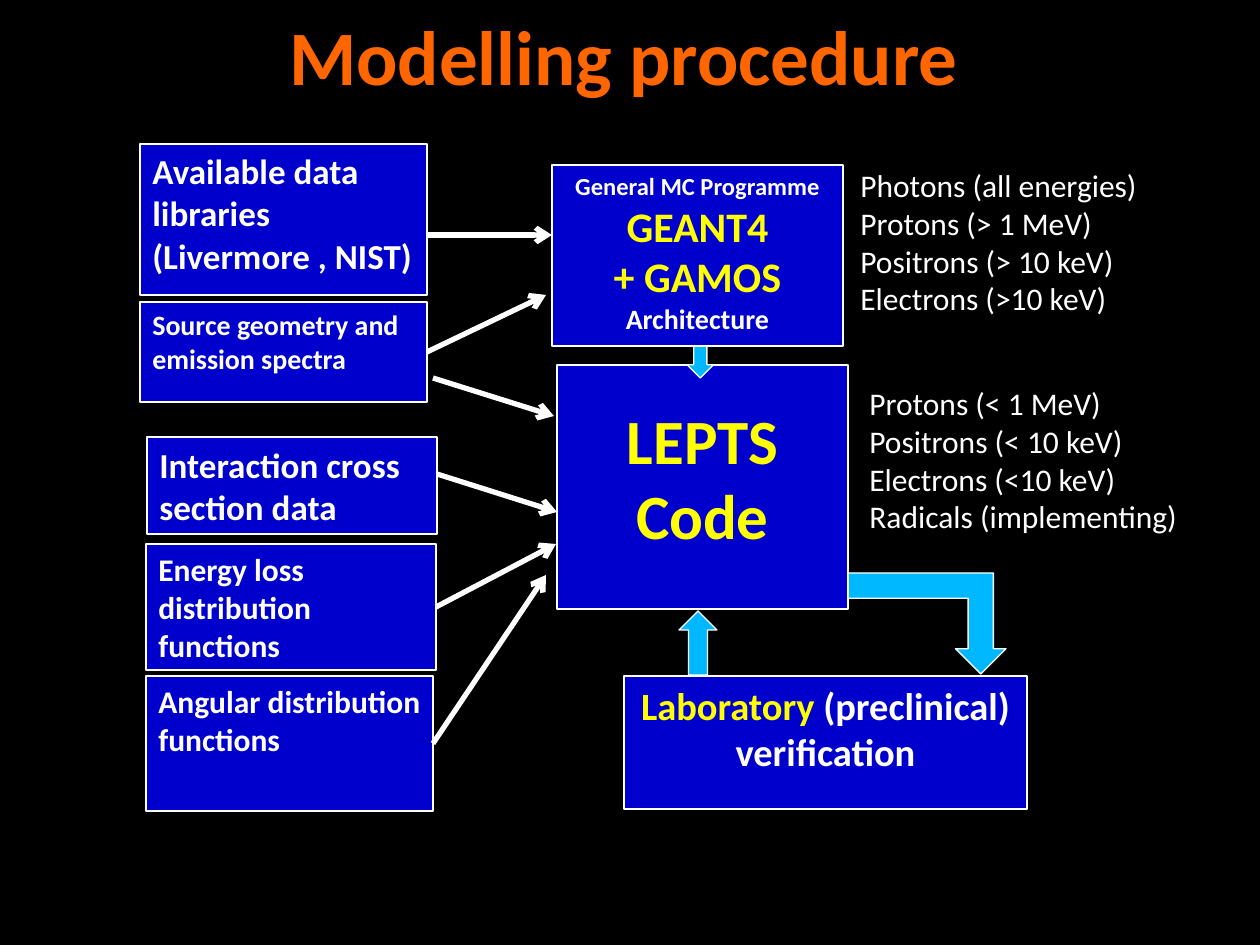
from pptx import Presentation
from pptx.dml.color import RGBColor
from pptx.enum.shapes import MSO_CONNECTOR, MSO_SHAPE as SHAPE
from pptx.enum.text import MSO_ANCHOR as ANCHOR, MSO_AUTO_SIZE as AUTO_SIZE, PP_ALIGN as ALIGN
from pptx.oxml.ns import qn
from pptx.util import Emu, Pt
from lxml import etree

COLORS = {
    "black": "000000",
    "white": "FFFFFF",
    "orange": "FF6600",
    "yellow": "FFFF00",
    "blue": "0000CC",
    "cyan": "00B8FF",
}
FONT = "Calibri"
RIGHT_SIDE = 3


def px(n):
    return Emu(round(n * 914400 / 126))


def color(name):
    return RGBColor.from_string(COLORS[name])


def write(frame, paragraphs, size=18, ink="white", bold=False, align=ALIGN.LEFT, top=6):
    """Each paragraph is a string or a list of (text, size, ink) runs."""
    frame.word_wrap = True
    frame.vertical_anchor = ANCHOR.TOP
    frame.margin_top = px(top)
    for i, content in enumerate(paragraphs):
        paragraph = frame.paragraphs[0] if i == 0 else frame.add_paragraph()
        paragraph.alignment = align
        runs = [(content, size, ink)] if isinstance(content, str) else content
        for text, run_size, run_ink in runs:
            run = paragraph.add_run()
            run.text = text
            run.font.name = FONT
            run.font.size = Pt(run_size)
            run.font.bold = bold
            run.font.color.rgb = color(run_ink)


def add_text(slide, box, paragraphs, grow=False, **text_format):
    frame = slide.shapes.add_textbox(*map(px, box)).text_frame
    write(frame, paragraphs, **text_format)
    if grow:
        frame.auto_size = AUTO_SIZE.SHAPE_TO_FIT_TEXT


def add_outlined(slide, kind, box, fill):
    shape = slide.shapes.add_shape(kind, *map(px, box))
    shape.shadow.inherit = False
    shape.fill.solid()
    shape.fill.fore_color.rgb = color(fill)
    shape.line.color.rgb = color("white")
    shape.line.width = Pt(0.75)
    return shape


def add_box(slide, box, paragraphs, **text_format):
    shape = add_outlined(slide, SHAPE.RECTANGLE, box, "blue")
    write(shape.text_frame, paragraphs, bold=True, **text_format)
    return shape


def add_arrow(slide, start, end, source=None):
    arrow = slide.shapes.add_connector(MSO_CONNECTOR.STRAIGHT, *map(px, start + end))
    if source is not None:
        arrow.begin_connect(source, RIGHT_SIDE)
    arrow.line.color.rgb = color("white")
    arrow.line.width = Pt(3)
    line = arrow.line._get_or_add_ln()
    etree.SubElement(line, qn("a:tailEnd"), type="arrow")
    etree.SubElement(arrow._element.spPr, qn("a:effectLst"))


def main():
    prs = Presentation()
    prs.slide_width, prs.slide_height = px(1260), px(945)
    slide = prs.slides.add_slide(prs.slide_layouts[6])
    slide.background.fill.solid()
    slide.background.fill.fore_color.rgb = color("black")

    add_text(slide, (57, 3, 1134, 157), ["Modelling procedure"],
             size=44, ink="orange", bold=True, align=ALIGN.CENTER)

    # Block arrows between the stages
    to_laboratory = add_outlined(slide, SHAPE.BENT_UP_ARROW, (772, 573, 234, 101), "cyan")
    to_laboratory._element.spPr.xfrm.set("flipV", "1")

    lepts = ["LEPTS Code"]
    add_box(slide, (557, 365, 291, 244), lepts,
            size=36, ink="yellow", align=ALIGN.CENTER, top=36)

    to_lepts = add_outlined(slide, SHAPE.BENT_UP_ARROW, (687, 325, 138, 53), "cyan")
    to_lepts.rotation = 180
    add_outlined(slide, SHAPE.UP_ARROW, (679, 611, 38, 64), "cyan")

    # Programme and verification stages
    geant = [
        [("General MC Programme ", 14, "white"), ("GEANT4", 24, "yellow")],
        [("+ GAMOS", 24, "yellow"), (" ", 20, "yellow"), ("Architecture", 16, "white")],
    ]
    add_box(slide, (552, 165, 291, 181), geant, align=ALIGN.CENTER)
    laboratory = [[("Laboratory", 22, "yellow"), (" (preclinical) verification", 22, "white")]]
    add_box(slide, (624, 676, 403, 133), laboratory, align=ALIGN.CENTER)

    # Input data
    add_box(slide, (140, 144, 287, 151), ["Available data libraries (Livermore , NIST)"], size=20)
    geometry = add_box(slide, (140, 302, 287, 100),
                       ["Source geometry and emission spectra"], size=16)
    add_box(slide, (147, 437, 290, 97), ["Interaction cross section data"], size=20)
    energy_loss = add_box(slide, (146, 544, 290, 126), ["Energy loss distribution functions"])
    angular = add_box(slide, (146, 676, 287, 135), ["Angular distribution functions"])

    # Arrows from the input data into the codes
    for start, end, source in [
        ((427, 235), (552, 235), None),
        ((427, 352), (546, 295), geometry),
        ((433, 378), (554, 416), None),
        ((437, 474), (557, 512), None),
        ((436, 607), (556, 544), energy_loss),
        ((433, 743), (546, 575), angular),
    ]:
        add_arrow(slide, start, end, source)

    # Particle ranges covered by each code
    add_text(slide, (848, 160, 341, 165),
             ["Photons (all energies)", "Protons (> 1 MeV)",
              "Positrons (> 10 keV)", "Electrons (>10 keV)"], grow=True)
    add_text(slide, (857, 378, 378, 165),
             ["Protons (< 1 MeV)", "Positrons (< 10 keV)",
              "Electrons (<10 keV)", "Radicals (implementing)"], grow=True)

    prs.save("out.pptx")


if __name__ == "__main__":
    main()
